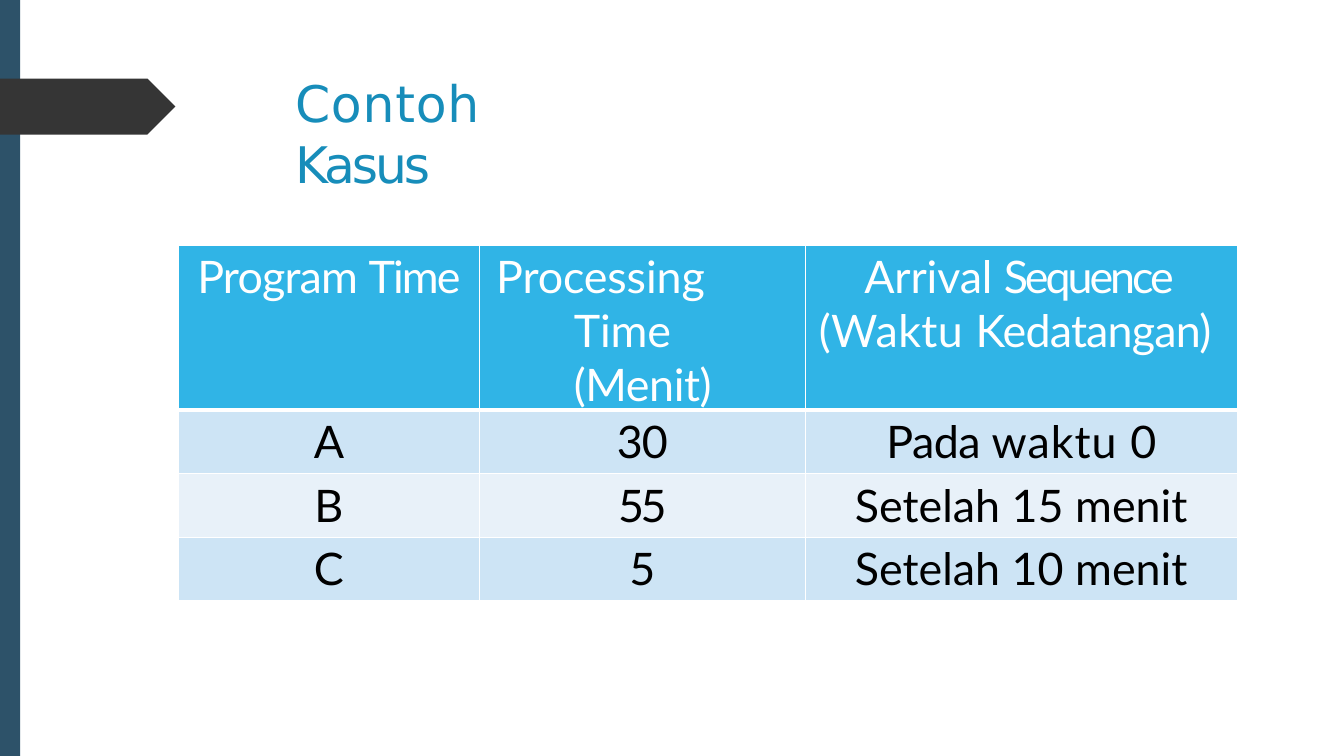
from dataclasses import dataclass

from lxml.etree import SubElement
from pptx import Presentation
from pptx.dml.color import RGBColor
from pptx.enum.shapes import MSO_SHAPE
from pptx.enum.text import MSO_ANCHOR, MSO_AUTO_SIZE, PP_ALIGN
from pptx.oxml.ns import qn
from pptx.slide import Slide
from pptx.table import _Cell
from pptx.text.text import _Paragraph
from pptx.util import Inches, Pt

WIDE, HIGH = Inches(13.33), Inches(7.5)


@dataclass(frozen=True)
class Theme:
    bar: str = "2D5269"
    arrow: str = "353535"
    title: str = "178DBA"
    head: str = "30B4E6"
    odd: str = "CDE4F5"
    even: str = "E8F1F9"
    light: str = "FFFFFF"
    dark: str = "000000"
    title_font: str = "DejaVu Sans"
    body_font: str = "Lato"
    title_size: int = 36
    body_size: int = 32
    thin: int = 1
    thick: int = 3


@dataclass(frozen=True)
class Box:
    left: float
    top: float
    width: float
    height: float

    def place(self) -> tuple[int, int, int, int]:
        return across(self.left), down(self.top), across(self.width), down(self.height)


@dataclass(frozen=True)
class Span:
    text: str
    space: float = 0


@dataclass(frozen=True)
class Entry:
    spans: tuple[Span, ...]
    margin: float = 0
    indent: float = 0


@dataclass(frozen=True)
class Block:
    shape: MSO_SHAPE
    box: Box
    color: str


THEME = Theme()
BLOCKS = (
    Block(MSO_SHAPE.RECTANGLE, Box(0, 0, 1.5, 100), THEME.bar),
    Block(MSO_SHAPE.PENTAGON, Box(0, 10.4, 13.05, 7.4), THEME.arrow),
)
TITLE_BOX = Box(21.95, 9.47, 24.8, 8.4)
TITLE = (Span("Contoh ", 0.6), Span("Kasus", -2.2))
COLS = (22.35, 24.3, 32.1)
ROWS = (15.6, 8.4, 8.4, 8.4)
GRID = Box(13.3, 32.4, sum(COLS), sum(ROWS))
CELLS = (
    (
        Entry((Span("Program ", -0.6), Span("Time", -1.4))),
        Entry((Span("Processing Time ", -0.1), Span("(Menit)", -0.3)), 7.05, -5.78),
        Entry((Span("Arrival ", -0.1), Span("Sequence ", -2.2),
               Span("(Waktu ", 0.3), Span("Kedatangan)", -0.6)), 0.98, 3.38),
    ),
    (
        Entry((Span("A"),)),
        Entry((Span("30", -0.7),)),
        Entry((Span("Pada ", -0.4), Span("waktu ", 0.7), Span("0", 1.3))),
    ),
    (Entry((Span("B"),)), Entry((Span("55", -2.6),)), Entry((Span("Setelah 15 menit"),))),
    (Entry((Span("C"),)), Entry((Span("5"),)), Entry((Span("Setelah 10 menit"),))),
)


def across(share: float) -> int:
    return round(WIDE * share / 100)


def down(share: float) -> int:
    return round(HIGH * share / 100)


def write(para: _Paragraph, spans: tuple[Span, ...], font: str, size: int, color: str) -> None:
    para.font.name = font
    para.font.size = Pt(size)
    para.font.bold = False
    para.font.color.rgb = RGBColor.from_string(color)
    for span in spans:
        run = para.add_run()
        run.text = span.text
        run._r.get_or_add_rPr().set("spc", str(round(span.space * 100)))


def draw_block(slide: Slide, block: Block) -> None:
    shape = slide.shapes.add_shape(block.shape, *block.box.place())
    shape.shadow.inherit = False
    shape.fill.solid()
    shape.fill.fore_color.rgb = RGBColor.from_string(block.color)
    shape.line.fill.background()


def draw_title(slide: Slide) -> None:
    title = slide.shapes.title
    title.left, title.top, title.width, title.height = TITLE_BOX.place()
    frame = title.text_frame
    frame.margin_left = frame.margin_right = frame.margin_bottom = 0
    frame.margin_top = Inches(0.01)
    frame.vertical_anchor = MSO_ANCHOR.TOP
    frame.word_wrap = True
    frame.auto_size = MSO_AUTO_SIZE.SHAPE_TO_FIT_TEXT
    para = frame.paragraphs[0]
    para.alignment = PP_ALIGN.LEFT
    para.space_before = Pt(1)
    write(para, TITLE, THEME.title_font, THEME.title_size, THEME.title)


def edge(cell: _Cell, row: int) -> None:
    props = cell._tc.get_or_add_tcPr()
    heavy = {0: "lnB", 1: "lnT"}.get(row)
    for spot, side in enumerate(("lnL", "lnR", "lnT", "lnB")):
        width = THEME.thick if side == heavy else THEME.thin
        line = SubElement(props, qn(f"a:{side}"), w=str(Pt(width)))
        fill = SubElement(line, qn("a:solidFill"))
        SubElement(fill, qn("a:srgbClr"), val=THEME.light)
        props.insert(spot, line)


def fill_cell(cell: _Cell, entry: Entry, row: int) -> None:
    cell.margin_left = cell.margin_right = cell.margin_bottom = 0
    cell.margin_top = Inches(0.04)
    cell.vertical_anchor = MSO_ANCHOR.TOP
    cell.fill.solid()
    shade = THEME.head if row == 0 else THEME.odd if row % 2 else THEME.even
    cell.fill.fore_color.rgb = RGBColor.from_string(shade)
    edge(cell, row)
    para = cell.text_frame.paragraphs[0]
    para.space_before = Pt(3)
    para.alignment = PP_ALIGN.LEFT if entry.margin else PP_ALIGN.CENTER
    props = para._p.get_or_add_pPr()
    props.set("marL", str(across(entry.margin)))
    props.set("indent", str(across(entry.indent)))
    color = THEME.dark if row else THEME.light
    write(para, entry.spans, THEME.body_font, THEME.body_size, color)


def draw_table(slide: Slide) -> None:
    table = slide.shapes.add_table(len(ROWS), len(COLS), *GRID.place()).table
    table.horz_banding = False
    for col, share in zip(table.columns, COLS):
        col.width = across(share)
    for row, share in zip(table.rows, ROWS):
        row.height = down(share)
    for row, entries in enumerate(CELLS):
        for col, entry in enumerate(entries):
            fill_cell(table.cell(row, col), entry, row)


def main() -> None:
    deck = Presentation()
    deck.slide_width, deck.slide_height = WIDE, HIGH
    slide = deck.slides.add_slide(deck.slide_layouts[5])
    for block in BLOCKS:
        draw_block(slide, block)
    draw_title(slide)
    draw_table(slide)
    deck.save("out.pptx")


if __name__ == "__main__":
    main()
